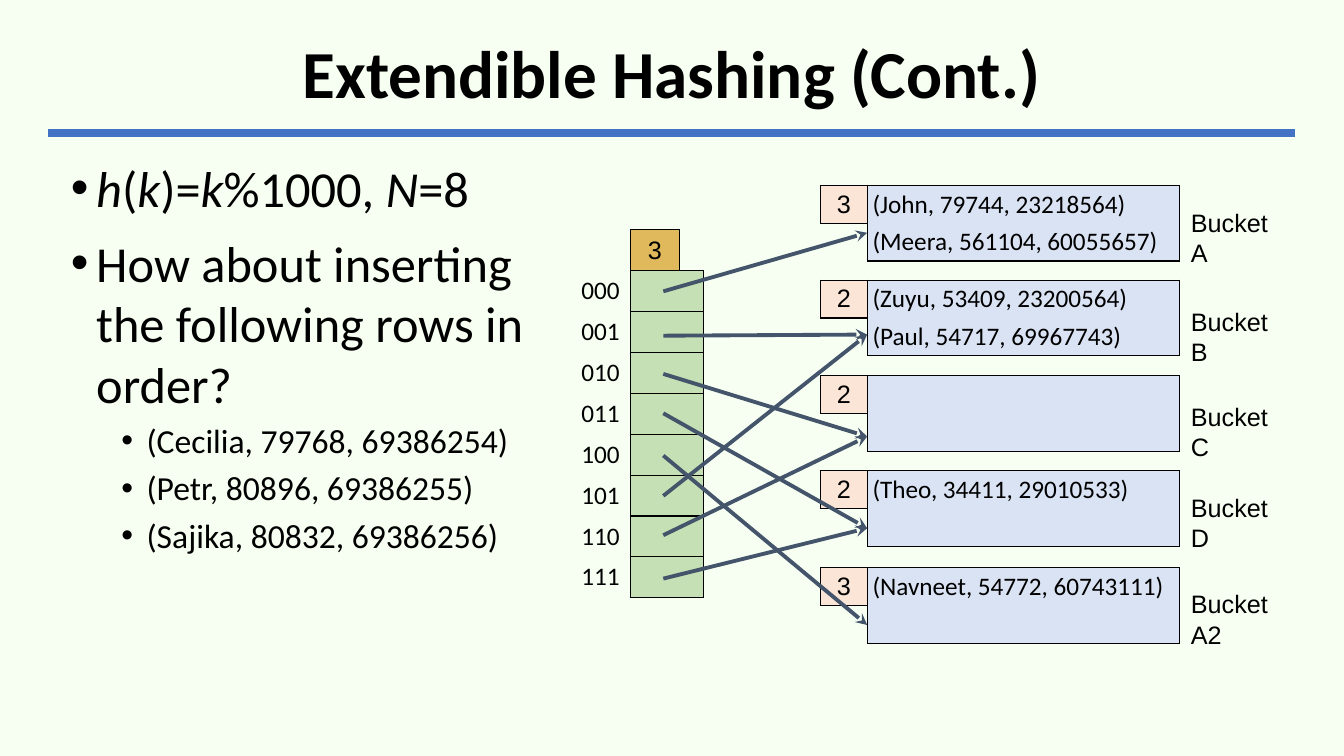
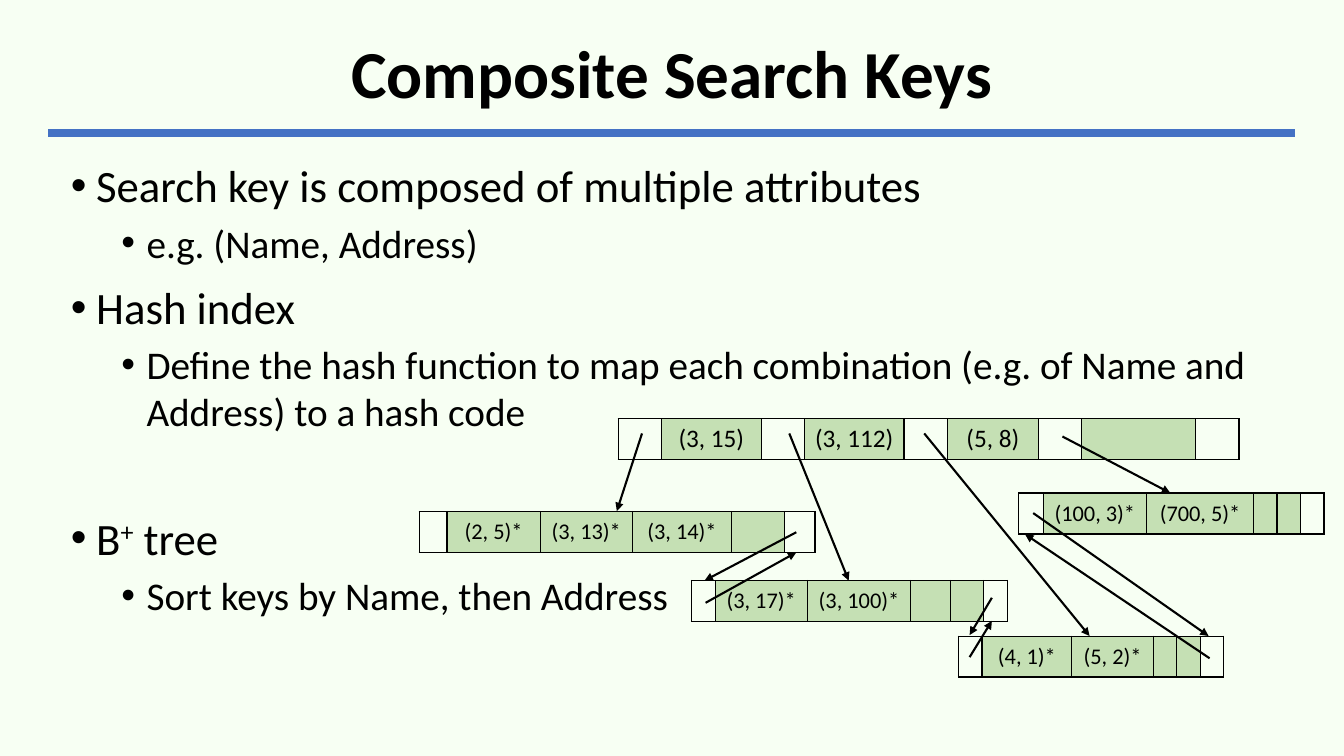
from dataclasses import dataclass, field
from typing import NamedTuple

from lxml import etree
from pptx import Presentation
from pptx.dml.color import RGBColor
from pptx.enum.shapes import MSO_CONNECTOR
from pptx.enum.text import MSO_ANCHOR, PP_ALIGN
from pptx.oxml.ns import qn
from pptx.util import Pt

LEFT, CENTER = PP_ALIGN.LEFT, PP_ALIGN.CENTER
TOP, MIDDLE = MSO_ANCHOR.TOP, MSO_ANCHOR.MIDDLE
STRAIGHT = MSO_CONNECTOR.STRAIGHT
PLAIN_TABLE_STYLE = "{2D5ABB26-0587-4C30-8999-92F81FD0307C}"

COLORS = {
    "background": "F7FFF3",
    "text": "000000",
    "rule": "4472C4",
    "green": "C5E0B4",
    "gold": "DFB95B",
    "depth": "FBE5D6",
    "bucket": "DAE3F3",
    "hash_arrow": "44546A",
}
BODY_FONT, LABEL_FONT = "Calibri", "Arial"
MARGIN, CONTENT_WIDTH = 34.6, 890.6
TREE_ROW, BUCKET_ROW = 29.2, 27


class Run(NamedTuple):
    text: str
    italic: bool = False
    superscript: bool = False


class Bullet(NamedTuple):
    runs: list[Run]
    size: float
    level: int = 0
    space_before: float = 10


@dataclass
class Cell:
    text: str = ""
    fill: str = ""
    borders: str = "LRTB"
    font: str = BODY_FONT
    size: float = 18
    align: PP_ALIGN = CENTER
    span: int = 1


class Bucket(NamedTuple):
    name: str
    depth: int
    top: float
    label_top: float
    entry_y: float
    rows: tuple[str, str] = ("", "")


class Pointer(NamedTuple):
    start_y: float
    bucket: str


@dataclass
class TreeNode:
    """A row of cells; None is a pointer cell, a string is a key cell."""
    left: float
    top: float
    widths: list[float]
    keys: list[str | None]
    size: float = field(default=16)


class Arrow(NamedTuple):
    x1: float
    y1: float
    x2: float
    y2: float


BUCKETS = [
    Bucket("A", 3, 132.5, 144.7, 166.3,
           ("(John, 79744, 23218564)", "(Meera, 561104, 60055657)")),
    Bucket("B", 2, 200.2, 215.3, 239,
           ("(Zuyu, 53409, 23200564)", "(Paul, 54717, 69967743)")),
    Bucket("C", 2, 268.4, 283, 311.8),
    Bucket("D", 2, 336.3, 347.8, 377.3, ("(Theo, 34411, 29010533)", "")),
    Bucket("A2", 3, 405.4, 416.9, 446.4, ("(Navneet, 54772, 60743111)", "")),
]
POINTERS = [
    Pointer(208.1, "A"), Pointer(239.8, "B"), Pointer(267.1, "C"), Pointer(295.2, "D"),
    Pointer(325.4, "A2"), Pointer(354.2, "B"), Pointer(382.3, "C"), Pointer(413.3, "D"),
]
TREE_NODES = [
    TreeNode(441.6, 299, [30.9, 71.2, 30.9, 71.2, 30.9, 65.1, 30.9, 81.5, 30.9],
             [None, "(3, 15)", None, "(3, 112)", None, "(5, 8)", None, "", None], 18),
    TreeNode(299.5, 365.4, [19.8, 66.6, 65.8, 71, 37.7, 21.9],
             [None, "(2, 5)*", "(3, 13)*", "(3, 14)*", "", None]),
    TreeNode(493.9, 414.6, [16.9, 65.8, 74, 28.4, 23.6, 16.9],
             [None, "(3, 17)*", "(3, 100)*", "", "", None]),
    TreeNode(684.7, 454.4, [16.8, 64.1, 58.3, 16.8, 16.8, 16.8],
             [None, "(4, 1)*", "(5, 2)*", "", "", None]),
    TreeNode(727.8, 352.2, [17.3, 74, 76.3, 16.8, 16.8, 16.8],
             [None, "(100, 3)*", "(700, 5)*", "", "", None]),
]
CHILD_ARROWS = [
    Arrow(458.6, 309.6, 440.6, 365), Arrow(563.8, 309.6, 606.2, 414.7),
    Arrow(660.2, 309.6, 778.3, 454.3), Arrow(758.9, 311.8, 835.9, 352.1),
]
SIBLING_ARROWS = [
    Arrow(568.8, 380.2, 503.3, 414.7), Arrow(504, 430.6, 568.8, 394.6),
    Arrow(708.5, 427, 692.6, 453.6), Arrow(692.6, 469.4, 708.5, 443.5),
    Arrow(738, 366.5, 863.3, 454.3), Arrow(864, 470.2, 732.2, 381.6),
]


def color(name: str) -> RGBColor:
    return RGBColor.from_string(COLORS[name])


def add_run(paragraph, text: str, font: str, size: float, **formats):
    run = paragraph.add_run()
    run.text = text
    for name, value in {"name": font, "size": Pt(size), **formats}.items():
        setattr(run.font, name, value)
    run.font.color.rgb = color("text")
    return run


def add_text_box(slide, left: float, top: float, width: float, height: float, anchor=TOP):
    text_frame = slide.shapes.add_textbox(
        Pt(left), Pt(top), Pt(width), Pt(height)).text_frame
    text_frame.word_wrap = True
    text_frame.vertical_anchor = anchor
    return text_frame


def add_line(slide, ends: Arrow, line_color: str, width: float, head: str = "") -> None:
    """Draw a straight line, with an arrowhead at its end if one is named."""
    connector = slide.shapes.add_connector(STRAIGHT, *(Pt(value) for value in ends))
    connector.line.color.rgb = color(line_color)
    connector.line.width = Pt(width)
    if head:
        etree.SubElement(connector.line._get_or_add_ln(), qn("a:tailEnd"), type=head)
    etree.SubElement(connector._element.spPr, qn("a:effectLst"))


def add_base_slide(presentation, title: str):
    """Add a slide with the shared background, title and rule."""
    slide = presentation.slides.add_slide(presentation.slide_layouts[6])
    slide.background.fill.solid()
    slide.background.fill.fore_color.rgb = color("background")
    add_line(slide, Arrow(MARGIN, 95, MARGIN + CONTENT_WIDTH, 95), "rule", 6)
    paragraph = add_text_box(slide, MARGIN, 17.3, CONTENT_WIDTH, 74.9, MIDDLE).paragraphs[0]
    paragraph.alignment = CENTER
    paragraph.line_spacing = 0.9
    add_run(paragraph, title, BODY_FONT, 48, bold=True)
    return slide


def add_bullets(slide, top: float, width: float, height: float, bullets: list[Bullet]) -> None:
    text_frame = add_text_box(slide, MARGIN, top, width, height)
    for index, bullet in enumerate(bullets):
        paragraph = text_frame.add_paragraph() if index else text_frame.paragraphs[0]
        paragraph.level = bullet.level
        properties = paragraph._p.get_or_add_pPr()
        properties.set("marL", str(Pt(27 + 36 * bullet.level)))
        properties.set("indent", str(-Pt(18)))
        etree.SubElement(properties, qn("a:buFont"), typeface="Arial")
        etree.SubElement(properties, qn("a:buChar"), char="•")
        if index:
            paragraph.space_before = Pt(bullet.space_before)
        for part in bullet.runs:
            run = add_run(paragraph, part.text, BODY_FONT, bullet.size, italic=part.italic)
            if part.superscript:
                run.font._element.set("baseline", "30000")


def format_cell(table_cell, cell: Cell) -> None:
    formats = {"margin_left": Pt(3.6), "margin_right": Pt(3.6), "margin_top": 0,
               "margin_bottom": 0, "vertical_anchor": MIDDLE}
    for name, value in formats.items():
        setattr(table_cell, name, value)
    properties = table_cell._tc.get_or_add_tcPr()
    for side in cell.borders:
        border = etree.SubElement(properties, qn(f"a:ln{side}"), w=str(Pt(1)))
        solid = etree.SubElement(border, qn("a:solidFill"))
        etree.SubElement(solid, qn("a:srgbClr"), val=COLORS["text"])
    if cell.fill:
        table_cell.fill.solid()
        table_cell.fill.fore_color.rgb = color(cell.fill)
    else:
        table_cell.fill.background()
    if cell.text:
        paragraph = table_cell.text_frame.paragraphs[0]
        paragraph.alignment = cell.align
        add_run(paragraph, cell.text, cell.font, cell.size)


def add_grid(slide, left: float, top: float, widths: list[float], row_height: float,
             rows: list[list[Cell]]) -> None:
    frame = slide.shapes.add_table(len(rows), len(widths), Pt(left), Pt(top),
                                   Pt(sum(widths)), Pt(row_height * len(rows)))
    table = frame.table
    table.first_row = table.horz_banding = False
    table._tbl.tblPr.find(qn("a:tableStyleId")).text = PLAIN_TABLE_STYLE
    for column, width in zip(table.columns, widths):
        column.width = Pt(width)
    for row_index, cells in enumerate(rows):
        table.rows[row_index].height = Pt(row_height)
        for column_index, cell in enumerate(cells):
            table_cell = table.cell(row_index, column_index)
            if cell.span > 1:
                table_cell.merge(table.cell(row_index, column_index + cell.span - 1))
            format_cell(table_cell, cell)


def add_bucket(slide, bucket: Bucket) -> None:
    first, second = bucket.rows
    add_grid(slide, 586, bucket.top, [33.7, 222.7], BUCKET_ROW, [
        [Cell(str(bucket.depth), "depth", font=LABEL_FONT),
         Cell(first, "bucket", "LRT", align=LEFT)],
        [Cell(borders="RT"), Cell(second, "bucket", "LRB", align=LEFT)],
    ])
    label = add_text_box(slide, 843.6, bucket.label_top, 82, 29)
    add_run(label.paragraphs[0], f"Bucket {bucket.name}", LABEL_FONT, 18)


def build_hashing_slide(presentation) -> None:
    slide = add_base_slide(presentation, "Extendible Hashing (Cont.)")
    formula = [Run("h", True), Run("("), Run("k", True), Run(")="), Run("k", True),
               Run("%1000, "), Run("N", True), Run("=8")]
    records = ["(Cecilia, 79768, 69386254)", "(Petr, 80896, 69386255)",
               "(Sajika, 80832, 69386256)"]
    add_bullets(slide, 108.7, 373, 318.2, [
        Bullet(formula, 36),
        Bullet([Run("How about inserting the following rows in order?")], 36),
        *(Bullet([Run(record)], 24, 1, 5) for record in records),
    ])
    for bucket in BUCKETS:
        add_bucket(slide, bucket)
    header = [Cell(borders="R"), Cell("3", "gold", font=LABEL_FONT), Cell(borders="LB")]
    directory = [[Cell(f"{index:03b}", borders="R"), Cell(fill="green", span=2)]
                 for index in range(len(POINTERS))]
    add_grid(slide, 407.5, 164.2, [42.8, 34.9, 17.3], TREE_ROW, [header, *directory])
    entries = {bucket.name: bucket.entry_y for bucket in BUCKETS}
    for pointer in POINTERS:
        ends = Arrow(473.8, pointer.start_y, 619.4, entries[pointer.bucket])
        add_line(slide, ends, "hash_arrow", 2.75, "stealth")


def build_keys_slide(presentation) -> None:
    slide = add_base_slide(presentation, "Composite Search Keys")
    add_bullets(slide, 109.4, CONTENT_WIDTH, 391, [
        Bullet([Run("Search key is composed of multiple attributes")], 32),
        Bullet([Run("e.g. (Name, Address)")], 28, 1, 5),
        Bullet([Run("Hash index")], 32),
        Bullet([Run("Define the hash function to map each combination "
                    "(e.g. of Name and Address) to a hash code")], 28, 1, 5),
        Bullet([Run("B"), Run("+", superscript=True), Run(" tree")], 32, space_before=54),
        Bullet([Run("Sort keys by Name, then Address")], 28, 1, 5),
    ])
    for node in TREE_NODES:
        cells = [Cell() if key is None else Cell(key, "green", size=node.size)
                 for key in node.keys]
        add_grid(slide, node.left, node.top, node.widths, TREE_ROW, [cells])
    for arrow in CHILD_ARROWS + SIBLING_ARROWS:
        add_line(slide, arrow, "text", 1.5, "triangle")


def main() -> None:
    presentation = Presentation()
    presentation.slide_width, presentation.slide_height = Pt(960), Pt(540)
    build_hashing_slide(presentation)
    build_keys_slide(presentation)
    presentation.save("out.pptx")


if __name__ == "__main__":
    main()
